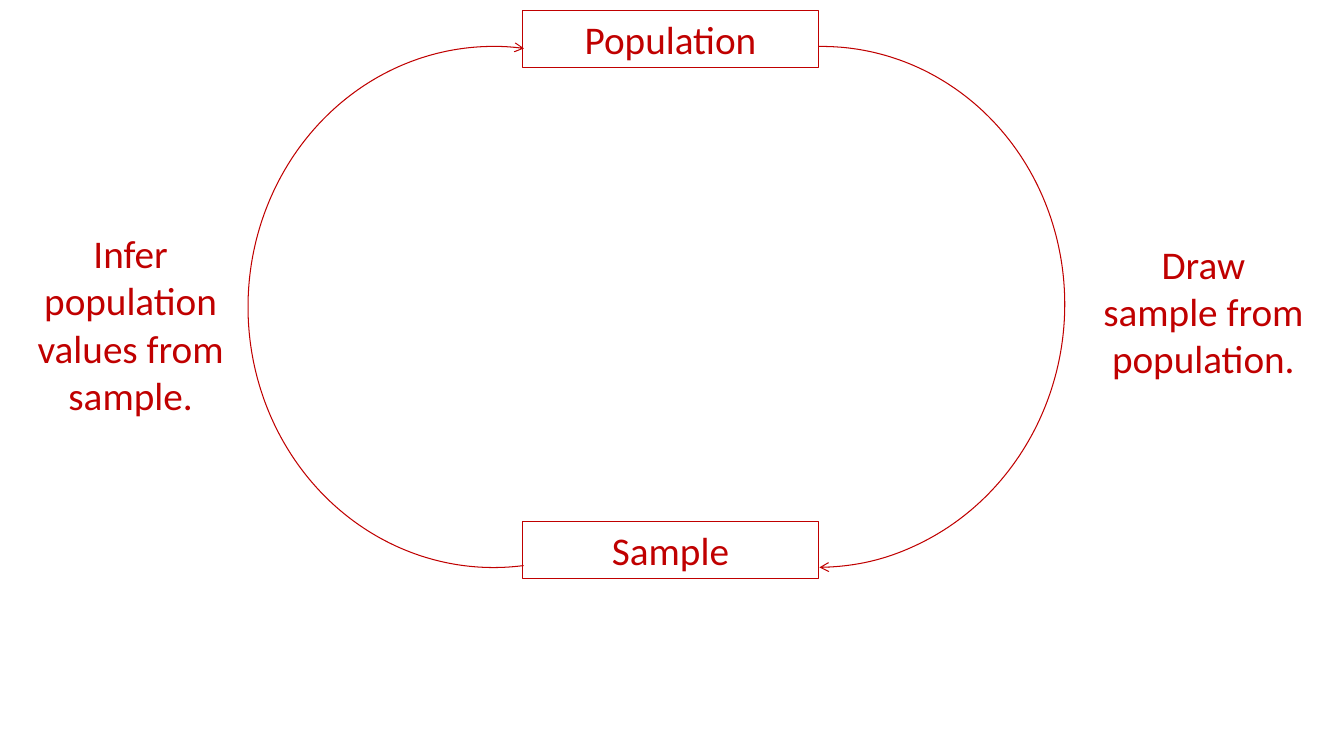
import pptx
import pptx.util
import pptx.dml.color
import pptx.enum.shapes
import pptx.enum.text
import pptx.oxml.ns
import lxml.etree

Inch = pptx.util.Inches
Kind = pptx.enum.shapes.MSO_SHAPE
RED = "C00000"

deck = pptx.Presentation()
deck.slide_width, deck.slide_height = Inch(13.33), Inch(7.5)
slide = deck.slides.add_slide(deck.slide_layouts[6])


def tint(code):
    return pptx.dml.color.RGBColor.from_string(code)


def label(text, left, top, width, height, size=28, color=RED, edge=None):
    box = slide.shapes.add_textbox(Inch(left), Inch(top), Inch(width), Inch(height))
    if edge:
        box.line.color.rgb = tint(edge)
        box.line.width = pptx.util.Pt(0.75)
    frame = box.text_frame
    frame.word_wrap = True
    frame.auto_size = pptx.enum.text.MSO_AUTO_SIZE.SHAPE_TO_FIT_TEXT
    para = frame.paragraphs[0]
    para.alignment = pptx.enum.text.PP_ALIGN.CENTER
    run = para.add_run()
    run.text = text
    run.font.name = "Calibri"
    run.font.size = pptx.util.Pt(size)
    run.font.color.rgb = tint(color)


for text, top in (("Population", 0.1), ("Sample", 5.17)):
    label(text, 5.18, top, 2.94, 0.57, edge=RED)

for left, turn, start, end in ((5.69, 4.7, 265.23, 85.24), (2.46, 180, 263.36, 96.71)):
    arc = slide.shapes.add_shape(Kind.ARC, Inch(left), Inch(0.46), Inch(4.87), Inch(5.17))
    arc.rotation = turn
    arc.adjustments[0] = start * 0.6
    arc.adjustments[1] = end * 0.6
    arc.shadow.inherit = False
    arc.fill.background()
    arc.line.color.rgb = tint(RED)
    arc.line.width = pptx.util.Pt(0.75)
    tail = lxml.etree.SubElement(arc.line._get_or_add_ln(), pptx.oxml.ns.qn("a:tailEnd"))
    tail.set("type", "arrow")

label("Draw sample from population.", 10.84, 2.33, 2.19, 1.51)
label("Infer population values from sample.", 0.2, 2.23, 2.19, 2.03)

deck.save("out.pptx")
